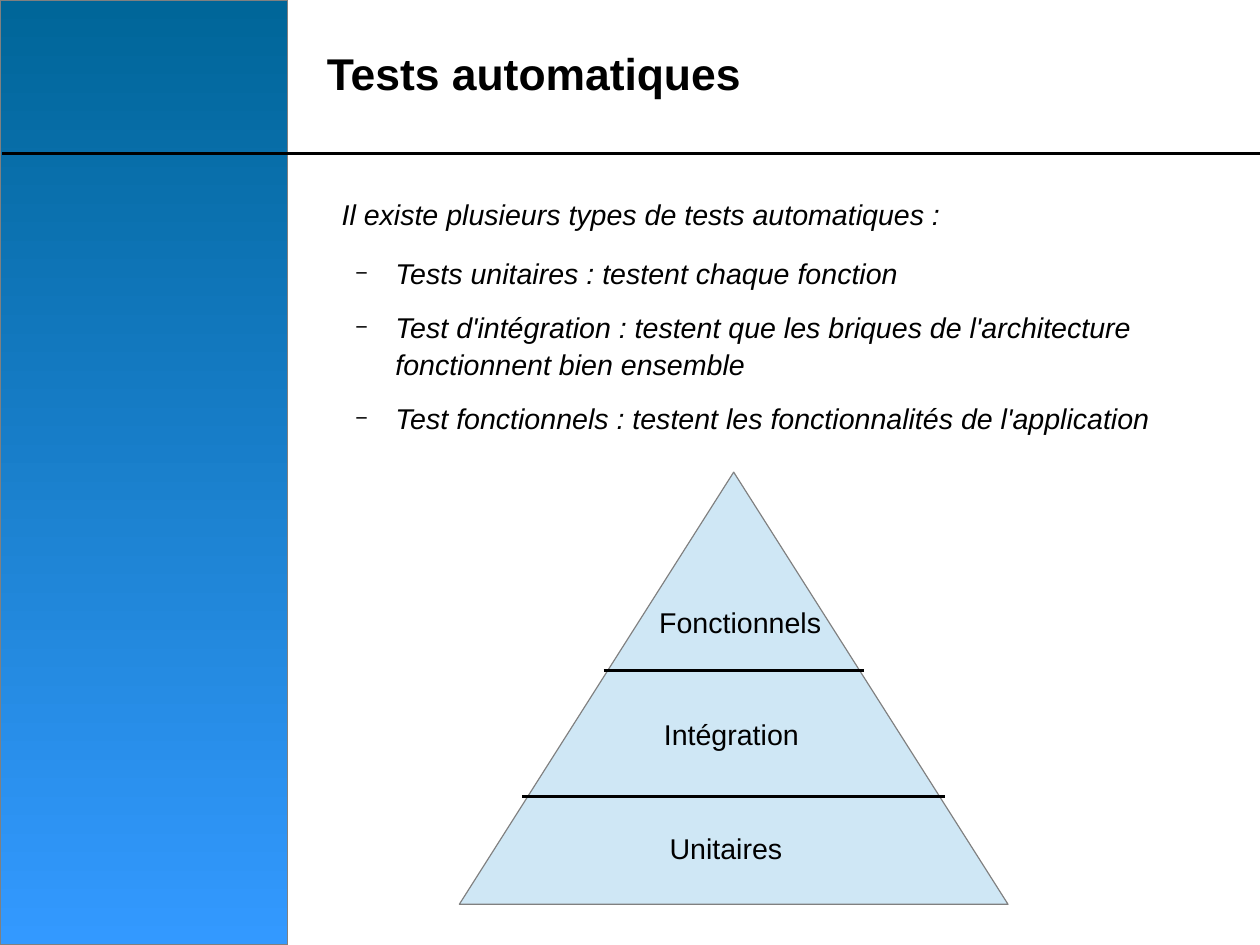
from lxml import etree
from pptx import Presentation
from pptx.dml.color import RGBColor
from pptx.enum import shapes, text
from pptx.oxml import ns
from pptx.util import Pt

FONT = "Arial"
COLORS = {
    "text": "000000",
    "rule": "000000",
    "outline": "808080",
    "band_top": "006699",
    "band_bottom": "3399FF",
    "pyramid": "CFE7F5",
}
INTRO = "Il existe plusieurs types de tests automatiques :"
TEST_TYPES = [
    "Tests unitaires : testent chaque fonction",
    "Test d'intégration : testent que les briques de l'architecture fonctionnent bien ensemble",
    "Test fonctionnels : testent les fonctionnalités de l'application",
]
# Label, left, top
LEVELS = [
    ("Fonctionnels", 408.2, 377.3),
    ("Intégration", 411.1, 447.8),
    ("Unitaires", 414.7, 519.8),
]
# Left, right, height
RULES = [(1.4, 794.9, 96.5), (380.2, 544.3, 422.6), (329, 595.4, 501.8)]


def rgb(name):
    return RGBColor.from_string(COLORS[name])


def add_run(p, words, size, bold=False, italic=False):
    r = p.add_run()
    r.text = words
    r.font.name, r.font.size = FONT, Pt(size)
    r.font.bold, r.font.italic = bold, italic
    r.font.color.rgb = rgb("text")


def set_frame(tf, inset_x=7.2, inset_y=3.6, wrap=True):
    tf.margin_left = tf.margin_right = Pt(inset_x)
    tf.margin_top = tf.margin_bottom = Pt(inset_y)
    tf.word_wrap = wrap
    tf.vertical_anchor = text.MSO_ANCHOR.TOP
    tf.auto_size = text.MSO_AUTO_SIZE.NONE


def set_indent(p, left, first=0, bullet=None):
    pPr = p._p.get_or_add_pPr()
    pPr.set("marL", str(Pt(left)))
    pPr.set("indent", str(Pt(first)))
    if bullet:
        color = etree.SubElement(pPr, ns.qn("a:buClr"))
        etree.SubElement(color, ns.qn("a:srgbClr"), val=COLORS["text"])
        etree.SubElement(pPr, ns.qn("a:buSzPct"), val="75000")
        etree.SubElement(pPr, ns.qn("a:buFont"), typeface=FONT)
        etree.SubElement(pPr, ns.qn("a:buChar"), char=bullet)


def set_title(s, words):
    sp = s.shapes.title
    sp.left, sp.top, sp.width, sp.height = Pt(198.7), Pt(25.2), Pt(459.4), Pt(71.3)
    set_frame(sp.text_frame)
    p = sp.text_frame.paragraphs[0]
    p.alignment = text.PP_ALIGN.LEFT
    add_run(p, words, 28, bold=True)


def add_body(s):
    tf = s.shapes.add_textbox(Pt(181.4), Pt(123.1), Pt(601.2), Pt(168.5)).text_frame
    set_frame(tf, 0, 0)
    for i, words in enumerate([INTRO] + TEST_TYPES):
        p = tf.add_paragraph() if i else tf.paragraphs[0]
        p.line_spacing = 1.06
        p.space_after = Pt(11.3 if i else 14.1)
        if i:
            p.level = 1
            set_indent(p, 67.7, -25.2, "−")
        else:
            set_indent(p, 33.8)
        add_run(p, words, 18, italic=True)


def add_outlined(s, kind, left, top, width, height):
    sp = s.shapes.add_shape(kind, Pt(left), Pt(top), Pt(width), Pt(height))
    sp.shadow.inherit = False
    sp.line.color.rgb = rgb("outline")
    sp.line.width = Pt(0)
    return sp


def add_rule(s, left, right, y):
    line = s.shapes.add_connector(
        shapes.MSO_CONNECTOR.STRAIGHT, Pt(left), Pt(y), Pt(right), Pt(y))
    line.line.color.rgb = rgb("rule")
    line.line.width = Pt(0)
    etree.SubElement(line._element.spPr, ns.qn("a:effectLst"))


def add_label(s, words, left, top):
    tf = s.shapes.add_textbox(Pt(left), Pt(top), Pt(116), Pt(27.4)).text_frame
    set_frame(tf, wrap=False)
    p = tf.paragraphs[0]
    p.alignment = text.PP_ALIGN.LEFT
    add_run(p, words, 18)


def main():
    prs = Presentation()
    prs.slide_width, prs.slide_height = Pt(793.7), Pt(595.3)
    s = prs.slides.add_slide(prs.slide_layouts[5])

    # Title and list
    set_title(s, "Tests automatiques")
    add_body(s)

    # Side band, light at the bottom
    band = add_outlined(s, shapes.MSO_SHAPE.RECTANGLE, 0, 0, 181.4, 595.3)
    band.fill.gradient()
    band.fill.gradient_angle = 90
    for stop, name in zip(band.fill.gradient_stops, ("band_bottom", "band_top")):
        stop.color.rgb = rgb(name)

    # Test pyramid
    pyramid = add_outlined(
        s, shapes.MSO_SHAPE.ISOSCELES_TRIANGLE, 289.4, 297.4, 345.6, 272.2)
    pyramid.fill.solid()
    pyramid.fill.fore_color.rgb = rgb("pyramid")

    # Header rule, pyramid rules and level names
    for rule in RULES:
        add_rule(s, *rule)
    for level in LEVELS:
        add_label(s, *level)

    prs.save("out.pptx")


if __name__ == "__main__":
    main()
